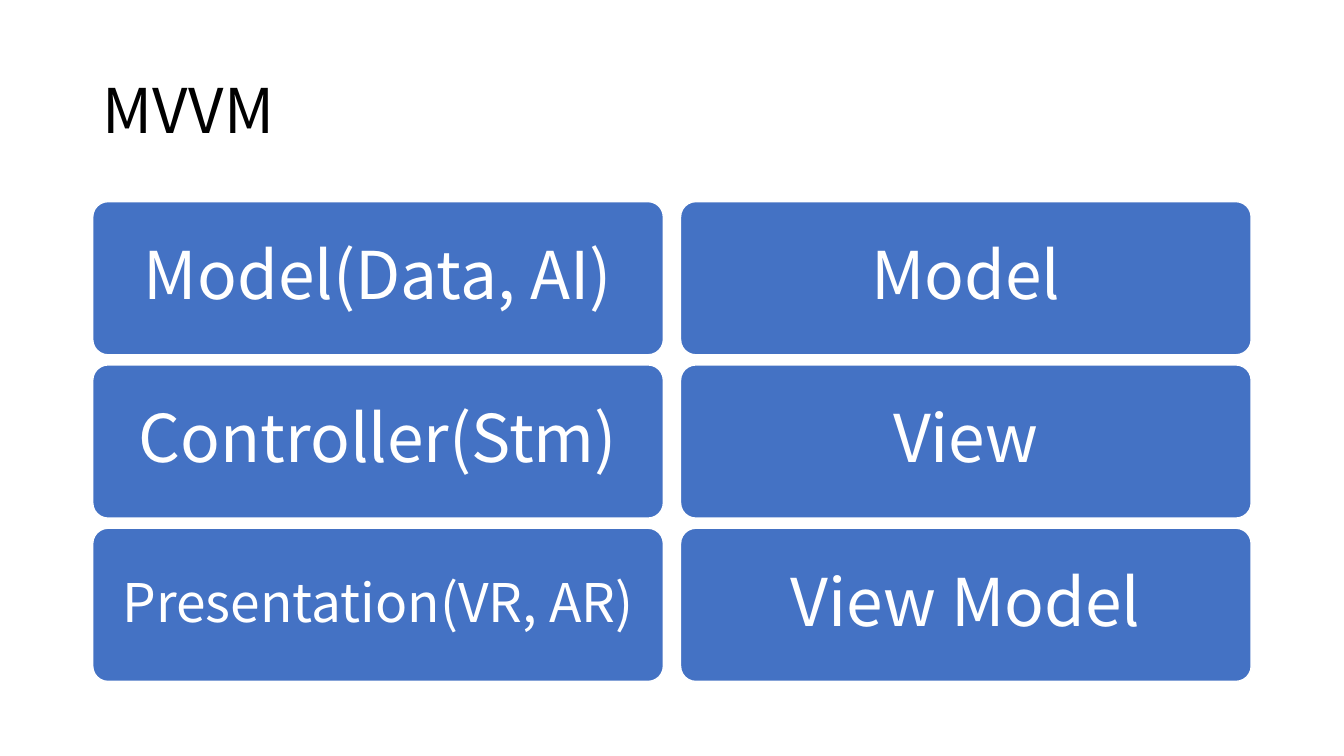
from pptx import Presentation
from pptx.dml.color import RGBColor
from pptx.enum import shapes, text
from pptx.util import Inches, Pt

FONT = "Noto Sans CJK JP"
BLUE = RGBColor(0x44, 0x72, 0xC4)
WHITE = RGBColor(0xFF, 0xFF, 0xFF)
BLACK = RGBColor(0x00, 0x00, 0x00)

LEFT, TOP = 0.92, 2
CARD_WIDTH, CARD_HEIGHT = 5.66, 1.52
COLUMN_STEP, ROW_STEP = 5.83, 1.62

COLUMNS = [
    [("Model(Data, AI)", 47), ("Controller(Stm)", 47), ("Presentation(VR, AR)", 38)],
    [("Model", 47), ("View", 47), ("View Model", 47)],
]


def write(frame, words, size, color, align):
    frame.word_wrap = True
    frame.vertical_anchor = text.MSO_ANCHOR.MIDDLE
    frame.text = words
    para = frame.paragraphs[0]
    para.alignment = align
    para.line_spacing = 0.9
    font = para.runs[0].font
    font.name = FONT
    font.size = Pt(size)
    font.color.rgb = color


deck = Presentation()
deck.slide_width = Inches(13.33)
deck.slide_height = Inches(7.5)
page = deck.slides.add_slide(deck.slide_layouts[6])

# Title
title = page.shapes.add_textbox(Inches(LEFT), Inches(0.4), Inches(11.5), Inches(1.45))
write(title.text_frame, "MVVM", 44, BLACK, text.PP_ALIGN.LEFT)

# Two columns of cards
for column, cards in enumerate(COLUMNS):
    for row, (label, size) in enumerate(cards):
        card = page.shapes.add_shape(
            shapes.MSO_SHAPE.ROUNDED_RECTANGLE,
            Inches(LEFT + column * COLUMN_STEP), Inches(TOP + row * ROW_STEP),
            Inches(CARD_WIDTH), Inches(CARD_HEIGHT))
        card.adjustments[0] = 0.1
        card.shadow.inherit = False
        card.fill.solid()
        card.fill.fore_color.rgb = BLUE
        card.line.color.rgb = WHITE
        card.line.width = Pt(1)
        frame = card.text_frame
        frame.margin_left = frame.margin_right = Inches(0.16)
        frame.margin_top = frame.margin_bottom = Inches(0.16)
        write(frame, label, size, WHITE, text.PP_ALIGN.CENTER)

deck.save("out.pptx")
